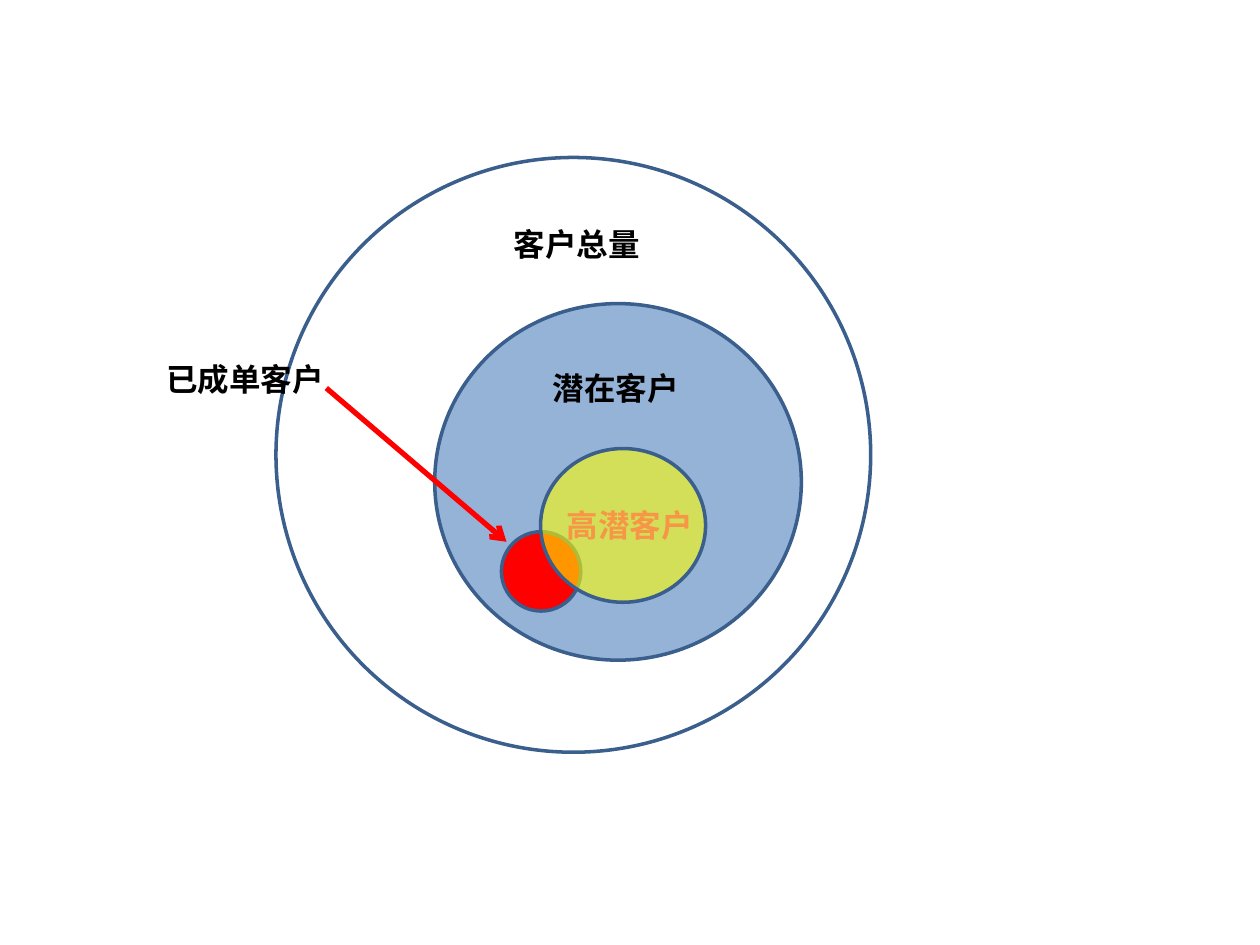
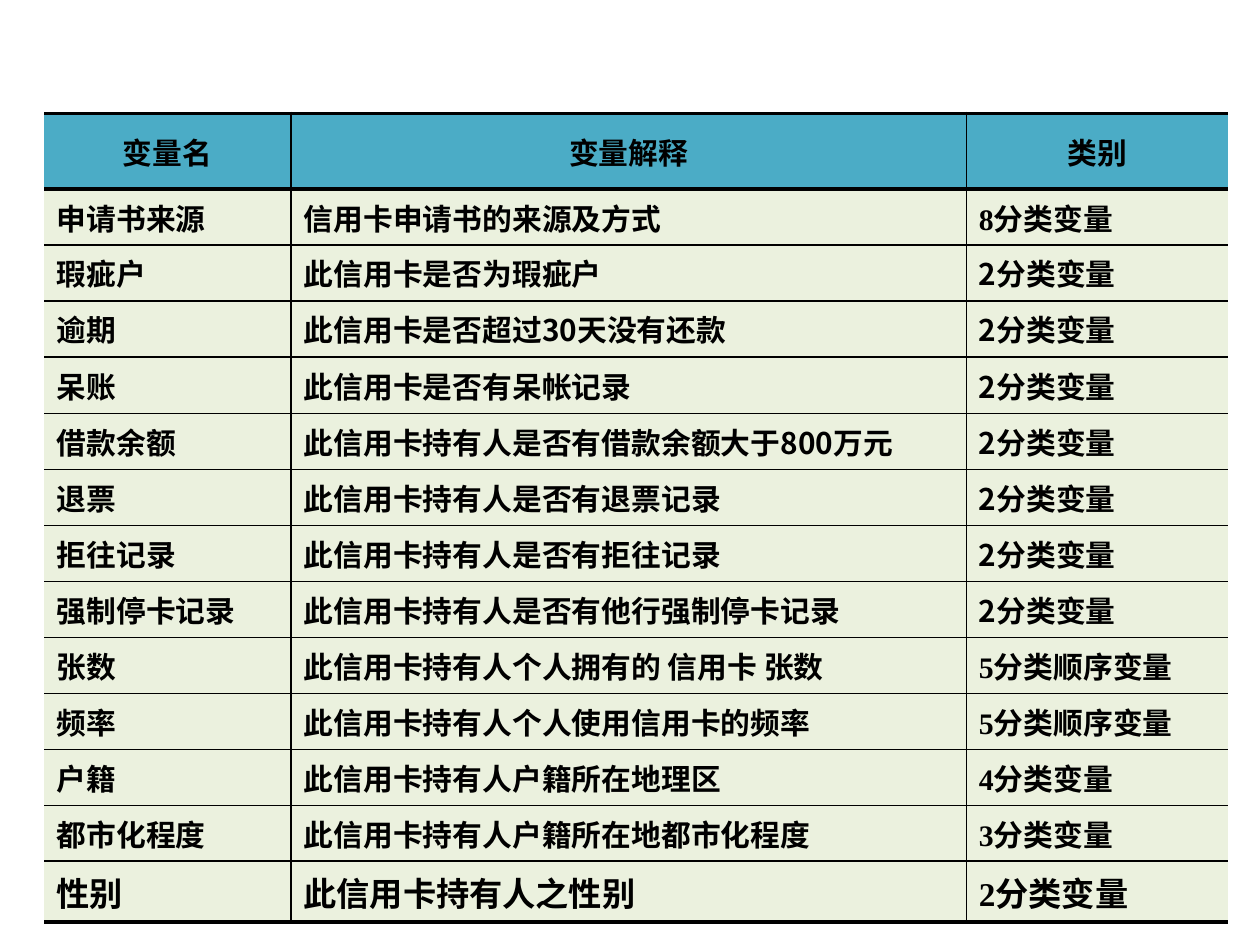
from dataclasses import dataclass

from lxml.etree import SubElement
from pptx import Presentation
from pptx.dml.color import RGBColor as Rgb
from pptx.enum.shapes import MSO_CONNECTOR as Connector, MSO_SHAPE as Shape
from pptx.enum.text import MSO_ANCHOR as Anchor, MSO_AUTO_SIZE as AutoSize, PP_ALIGN as Align
from pptx.oxml.ns import qn
from pptx.util import Inches, Pt


@dataclass(frozen=True)
class Theme:
    sans: str = "Noto Sans CJK SC"
    serif: str = "Times New Roman"
    ink: str = "000000"
    outline: str = "3A5F8C"
    potential: str = "95B3D7"
    closed: str = "FF0000"
    high_potential: str = "FFFF00"
    highlight: str = "F79646"
    header: str = "4BACC6"
    body: str = "EBF1DE"
    label_size: int = 18
    table_size: int = 17
    last_row_size: int = 19
    thin: float = 1
    thick: float = 2.25


theme = Theme()


def write_text(frame, text, size, color=theme.ink, font=theme.sans, align=None, hanging=0):
    """Fill a frame with one bold line; East Asian characters always use the sans font."""
    para = frame.paragraphs[0]
    para.alignment = align
    if hanging:
        properties = para._p.get_or_add_pPr()
        properties.set("marL", str(Inches(hanging)))
        properties.set("indent", str(-Inches(hanging)))
    span = para.add_run()
    span.text = text
    span.font.size = Pt(size)
    span.font.bold = True
    span.font.color.rgb = Rgb.from_string(color)
    span.font.name = font
    SubElement(span._r.get_or_add_rPr(), qn("a:ea"), typeface=theme.sans)


def add_border(cell, side, width):
    """Draw one cell side (L, R, T or B); a width of zero hides it."""
    line = SubElement(cell._tc.get_or_add_tcPr(), qn(f"a:ln{side}"), w=str(Pt(width)))
    if width:
        fill = SubElement(line, qn("a:solidFill"))
        SubElement(fill, qn("a:srgbClr"), val=theme.ink)
    else:
        SubElement(line, qn("a:noFill"))


deck = Presentation()
deck.slide_width, deck.slide_height = Inches(10), Inches(7.5)
blank = deck.slide_layouts[6]

# Customer groups as nested circles
page = deck.slides.add_slide(blank)

circles = [  # left, top, width, height, fill, opacity in percent
    (2.19, 1.25, 4.72, 4.72, None, 100),
    (3.45, 2.41, 2.91, 2.83, theme.potential, 100),
    (3.98, 4.22, 0.63, 0.63, theme.closed, 100),
    (4.29, 3.56, 1.31, 1.22, theme.high_potential, 59),
]
for *bounds, color, opacity in circles:
    circle = page.shapes.add_shape(Shape.FLOWCHART_CONNECTOR, *map(Inches, bounds))
    circle.shadow.inherit = False
    circle.line.color.rgb = Rgb.from_string(theme.outline)
    circle.line.width = Pt(2)
    if color is None:
        circle.fill.background()
        continue
    circle.fill.solid()
    circle.fill.fore_color.rgb = Rgb.from_string(color)
    if opacity < 100:
        tint = circle._element.spPr.find(qn("a:solidFill"))[0]
        SubElement(tint, qn("a:alpha"), val=str(opacity * 1000))

arrow = page.shapes.add_connector(
    Connector.STRAIGHT, Inches(2.59), Inches(3.08), Inches(4.02), Inches(4.3))
arrow.line.color.rgb = Rgb.from_string(theme.closed)
arrow.line.width = Pt(3)
SubElement(arrow.line._get_or_add_ln(), qn("a:tailEnd"), type="arrow")
SubElement(arrow._element.spPr, qn("a:effectLst"))

labels = [  # text, left, top, width, left inset, color
    ("已成单客户", 1.22, 2.81, 1.68, 0.1, theme.ink),
    ("潜在客户", 4.29, 2.88, 1.5, 0.1, theme.ink),
    ("客户总量", 3.98, 1.74, 1.97, 0.1, theme.ink),
    ("高潜客户", 4.35, 3.97, 1.34, 0.15, theme.highlight),
]
for text, left, top, width, inset, color in labels:
    box = page.shapes.add_textbox(Inches(left), Inches(top), Inches(width), Inches(0.4))
    frame = box.text_frame
    frame.word_wrap = True
    frame.auto_size = AutoSize.SHAPE_TO_FIT_TEXT
    frame.margin_left = Inches(inset)
    write_text(frame, text, theme.label_size, color=color)

# Variable table
page = deck.slides.add_slide(blank)

fonts = {"N": theme.sans, "T": theme.serif}
rows = [  # name, explanation, category, font of each column
    ("变量名", "变量解释", "类别", "NNN"),
    ("申请书来源", "信用卡申请书的来源及方式", "8分类变量", "TNT"),
    ("瑕疵户", "此信用卡是否为瑕疵户", "2分类变量", "TNN"),
    ("逾期", "此信用卡是否超过30天没有还款", "2分类变量", "NNN"),
    ("呆账", "此信用卡是否有呆帐记录", "2分类变量", "TNN"),
    ("借款余额", "此信用卡持有人是否有借款余额大于800万元", "2分类变量", "TNN"),
    ("退票", "此信用卡持有人是否有退票记录", "2分类变量", "TNN"),
    ("拒往记录", "此信用卡持有人是否有拒往记录", "2分类变量", "TNN"),
    ("强制停卡记录", "此信用卡持有人是否有他行强制停卡记录", "2分类变量", "TNN"),
    ("张数", "此信用卡持有人个人拥有的 信用卡 张数", "5分类顺序变量", "TTT"),
    ("频率", "此信用卡持有人个人使用信用卡的频率", "5分类顺序变量", "TNT"),
    ("户籍", "此信用卡持有人户籍所在地理区", "4分类变量", "TNT"),
    ("都市化程度", "此信用卡持有人户籍所在地都市化程度", "3分类变量", "TNT"),
    ("性别", "此信用卡持有人之性别", "2分类变量", "TTT"),
]
column_widths = [1.96, 5.36, 2.08]
row_heights = [0.6] + [0.39] * 3 + [0.45] + [0.39] * 8 + [0.41]
last_row, last_column = len(rows) - 1, len(column_widths) - 1

table = page.shapes.add_table(
    len(rows), len(column_widths), Inches(0.35), Inches(0.9),
    Inches(sum(column_widths)), Inches(sum(row_heights))).table
table.first_row = table.horz_banding = False
for column, width in zip(table.columns, column_widths):
    column.width = Inches(width)

for r, (*texts, font_codes) in enumerate(rows):
    table.rows[r].height = Inches(row_heights[r])
    is_header, is_last = r == 0, r == last_row
    for c, (text, code) in enumerate(zip(texts, font_codes)):
        cell = table.cell(r, c)
        cell.vertical_anchor = Anchor.MIDDLE
        write_text(
            cell.text_frame, text, theme.last_row_size if is_last else theme.table_size,
            font=fonts[code], align=Align.CENTER if is_header else Align.LEFT, hanging=0.38)
        add_border(cell, "L", theme.thin if c > 0 else 0)
        add_border(cell, "R", theme.thin if c < last_column else 0)
        add_border(cell, "T", theme.thick if r <= 1 else theme.thin)
        add_border(cell, "B", theme.thick if is_header or is_last else theme.thin)
        cell.fill.solid()
        cell.fill.fore_color.rgb = Rgb.from_string(theme.header if is_header else theme.body)

deck.save("out.pptx")
